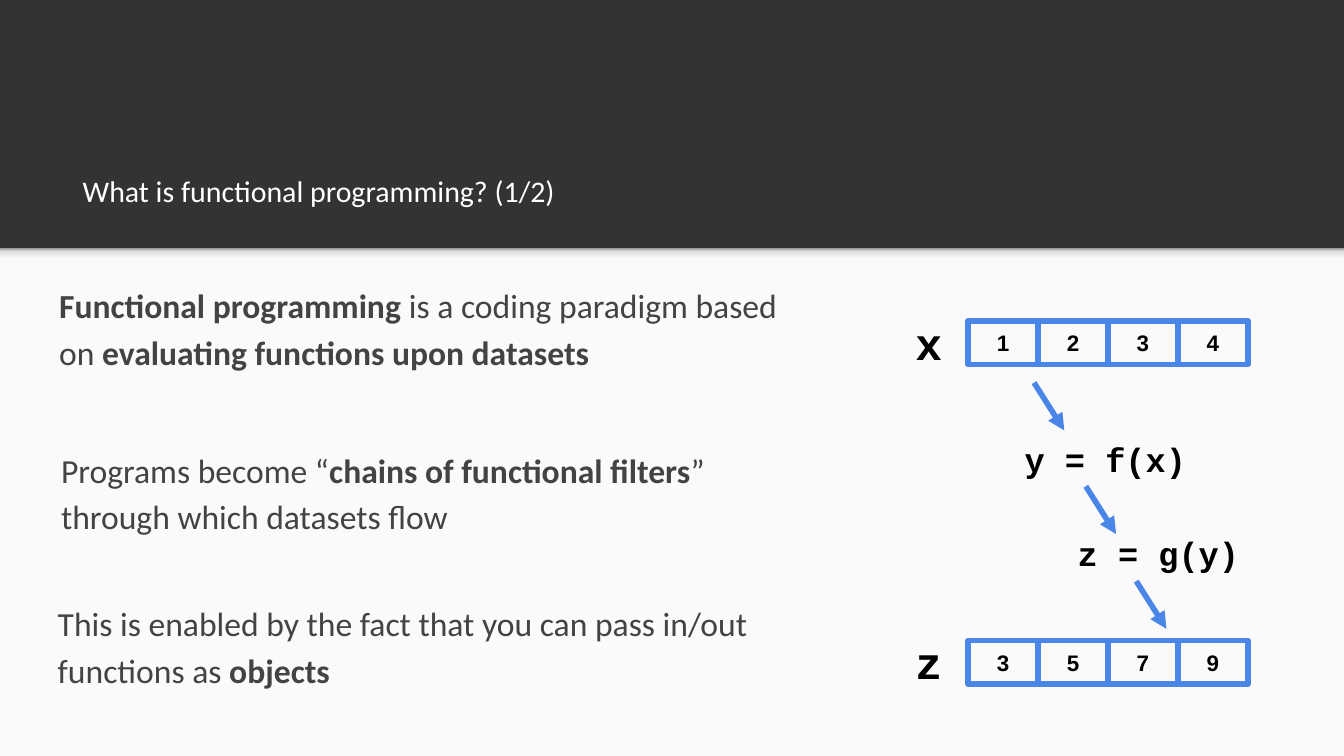
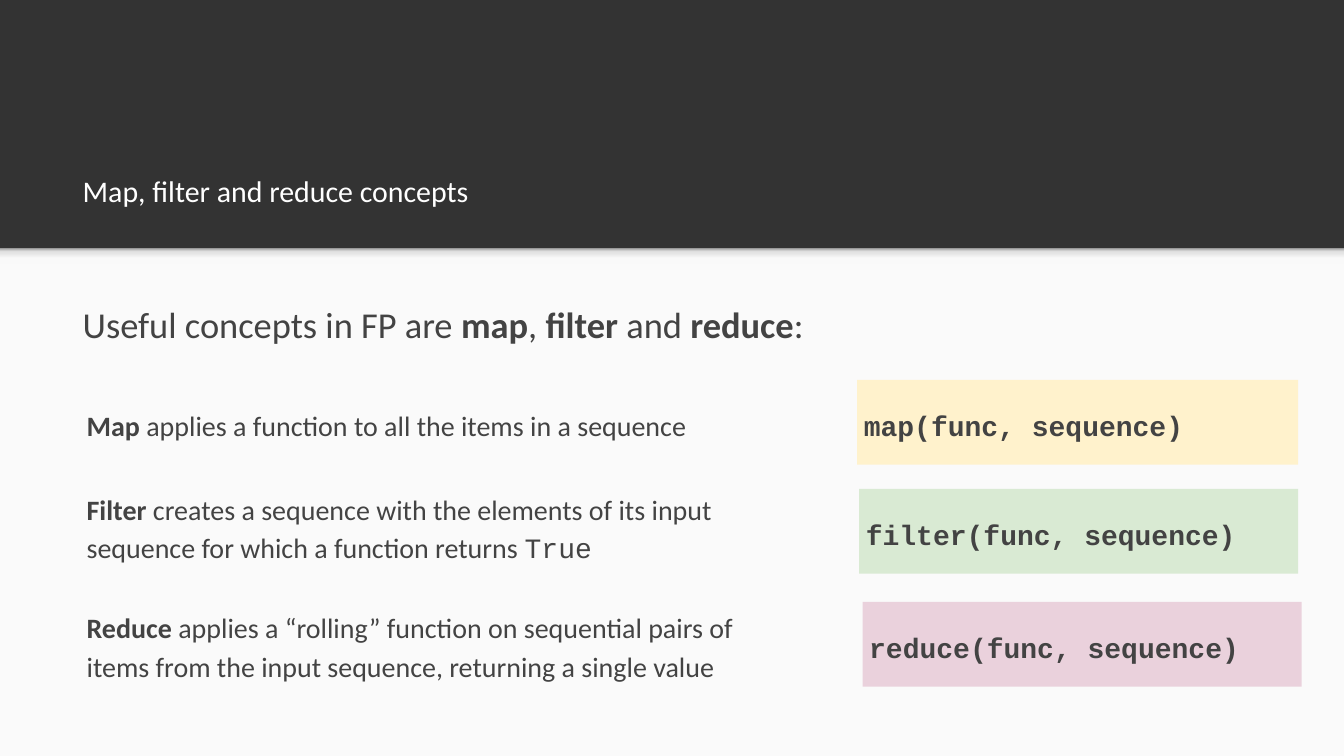
from lxml.etree import SubElement
from pptx import Presentation
from pptx.dml.color import RGBColor
from pptx.enum.shapes import MSO_CONNECTOR as Connector, MSO_SHAPE as Shape
from pptx.enum.text import MSO_ANCHOR as Anchor, PP_ALIGN as Align
from pptx.oxml.ns import qn
from pptx.util import Inches, Pt

# Shared style
WIDTH, HEIGHT, BAND = 19.99, 11.24, 3.69
DARK = RGBColor(0x33, 0x33, 0x33)
PAPER = RGBColor(0xFA, 0xFA, 0xFA)
WHITE = RGBColor(0xFF, 0xFF, 0xFF)
BLACK = RGBColor(0, 0, 0)
BODY = RGBColor(0x43, 0x43, 0x43)
BLUE = RGBColor(0x4A, 0x86, 0xE8)
YELLOW = RGBColor(0xFF, 0xF2, 0xCC)
GREEN = RGBColor(0xD9, 0xEA, 0xD3)
PINK = RGBColor(0xEA, 0xD1, 0xDC)
SHADOW_STOPS = [(0, "F9F9F9"), (36, "F9F9F9"), (80, "DEDEDE"), (100, "999999")]
SANS, LABEL, CODE = "Calibri", "Arial", "Courier New"
PROSE = dict(spacing=1.15, before=16)


def write(shape, text, font=SANS, size=36, color=BODY, bold=False,
          align=Align.LEFT, anchor=Anchor.MIDDLE, inset=0.1, spacing=None, before=0):
    """Fill a shape with one paragraph; **...** is bold and `...` is code."""
    frame = shape.text_frame
    frame.word_wrap = True
    frame.vertical_anchor = anchor
    frame.margin_left = frame.margin_right = Inches(inset)
    frame.margin_top = frame.margin_bottom = Inches(inset)
    para = frame.paragraphs[0]
    para.alignment = align
    para.space_before = Pt(before)
    if spacing:
        para.line_spacing = spacing
    for i, piece in enumerate(text.split("**")):
        for j, part in enumerate(piece.split("`")):
            if part:
                span = para.add_run()
                span.text = part
                span.font.name = CODE if j % 2 else font
                span.font.size = Pt(size)
                span.font.bold = bold or i % 2 == 1
                span.font.color.rgb = color


def add_text(page, box, text, **style):
    write(page.shapes.add_textbox(*map(Inches, box)), text, **style)


def add_box(page, box, fill=None, line=None):
    shape = page.shapes.add_shape(Shape.RECTANGLE, *map(Inches, box))
    shape.shadow.inherit = False
    if fill is None:
        shape.fill.background()
    else:
        shape.fill.solid()
        shape.fill.fore_color.rgb = fill
    if line is None:
        shape.line.fill.background()
    else:
        shape.line.color.rgb = line
        shape.line.width = Pt(6)
    return shape


def add_arrow(page, left, top, width=0.45, height=0.71):
    ends = map(Inches, (left, top, left + width, top + height))
    arrow = page.shapes.add_connector(Connector.STRAIGHT, *ends)
    arrow.line.color.rgb = BLUE
    arrow.line.width = Pt(6)
    SubElement(arrow.line._get_or_add_ln(), qn("a:tailEnd"), type="triangle")
    SubElement(arrow._element.spPr, qn("a:effectLst"))


def add_page(deck, title):
    """Dark title band over a light body, with a soft edge between them."""
    page = deck.slides.add_slide(deck.slide_layouts[6])
    page.background.fill.solid()
    page.background.fill.fore_color.rgb = DARK
    add_box(page, (0, BAND, WIDTH, HEIGHT - BAND), fill=PAPER)
    edge = add_box(page, (0, BAND, WIDTH, 0.24))
    edge.fill.gradient()
    edge.fill.gradient_angle = 90
    stops = edge._element.spPr.find(qn("a:gradFill")).find(qn("a:gsLst"))
    for stop in list(stops):
        stops.remove(stop)
    for percent, color in SHADOW_STOPS:
        stop = SubElement(stops, qn("a:gs"), pos=str(percent * 1000))
        SubElement(stop, qn("a:srgbClr"), val=color)
    add_text(page, (1.03, 1.62, 17.98, 1.68), title, size=32, color=WHITE,
             anchor=Anchor.BOTTOM, inset=0.2)
    return page


def add_array(page, left, top, name, values):
    """A named row of cells."""
    label = dict(color=BLACK, bold=True, align=Align.CENTER)
    name_width, cell_width, cell_height = 1.17, 1.04, 0.65
    for i, value in enumerate(values):
        cell_left = left + name_width + i * cell_width
        cell = add_box(page, (cell_left, top, cell_width, cell_height), line=BLUE)
        write(cell, str(value), font=LABEL, size=24, **label)
    add_text(page, (left, top - 0.1, name_width, 0.84), name, font=CODE, size=48, **label)


def add_pipeline(page, left, top):
    """Array x passes through two functions to become array z."""
    add_array(page, left, top, "x", (1, 2, 3, 4))
    add_array(page, left, top + 4.75, "z", (3, 5, 7, 9))
    for dx, dy, formula in ((1.71, 1.65, "y = f(x)"), (2.5, 3.05, "z = g(y)")):
        add_text(page, (left + dx, top + dy, 3, 0.65), formula, font=CODE, color=BLACK,
                 bold=True, align=Align.CENTER, anchor=Anchor.TOP)
    for dx, dy in ((2.15, 0.92), (2.92, 2.46), (3.67, 3.87)):
        add_arrow(page, left + dx, top + dy)


def add_concept(page, text_box, text, code_box, code, fill):
    """An explanation beside its call signature."""
    add_text(page, text_box, text, size=30, **PROSE)
    write(add_box(page, code_box, fill=fill), code, font=CODE, size=30, bold=True, **PROSE)


def build_paradigm(deck):
    page = add_page(deck, "What is functional programming? (1/2)")
    add_text(page, (0.68, 3.95, 11.09, 2.29),
             "**Functional programming **is a coding paradigm based on "
             "**evaluating functions upon datasets**",
             anchor=Anchor.TOP, inset=0.2, **PROSE)
    add_text(page, (0.81, 5.93, 11.09, 2.71),
             "Programs become “**chains of functional filters**” through which datasets flow",
             **PROSE)
    add_text(page, (0.76, 8.42, 12.05, 2.29),
             "This is enabled by the fact that you can pass in/out functions as **objects**",
             **PROSE)
    add_pipeline(page, 13.23, 4.77)


def build_concepts(deck):
    page = add_page(deck, "Map, filter and reduce concepts")
    add_text(page, (1.03, 4.2, 11.88, 1.26),
             "Useful concepts in FP are **map**, **filter **and **reduce**:",
             size=39, anchor=Anchor.TOP, inset=0.2, **PROSE)
    concepts = [
        (5.9, 0.76, "**Map **applies a function to all the items in a sequence",
         (12.75, 5.65, 6.56, 1.26), "map", YELLOW),
        (7.09, 1.46, "**Filter **creates a sequence with the elements of its input "
         "sequence for which a function returns `True`",
         (12.78, 7.27, 6.53, 1.26), "filter", GREEN),
        (8.85, 1.46, "**Reduce **applies a “rolling” function on sequential pairs of "
         "items from the input sequence, returning a single value",
         (12.83, 8.95, 6.53, 1.26), "reduce", PINK),
    ]
    for top, height, text, code_box, name, fill in concepts:
        add_concept(page, (1.19, top, 10.56, height), text,
                    code_box, f"{name}(func, sequence)", fill)


def main():
    deck = Presentation()
    deck.slide_width, deck.slide_height = Inches(WIDTH), Inches(HEIGHT)
    build_paradigm(deck)
    build_concepts(deck)
    deck.save("out.pptx")


if __name__ == "__main__":
    main()
